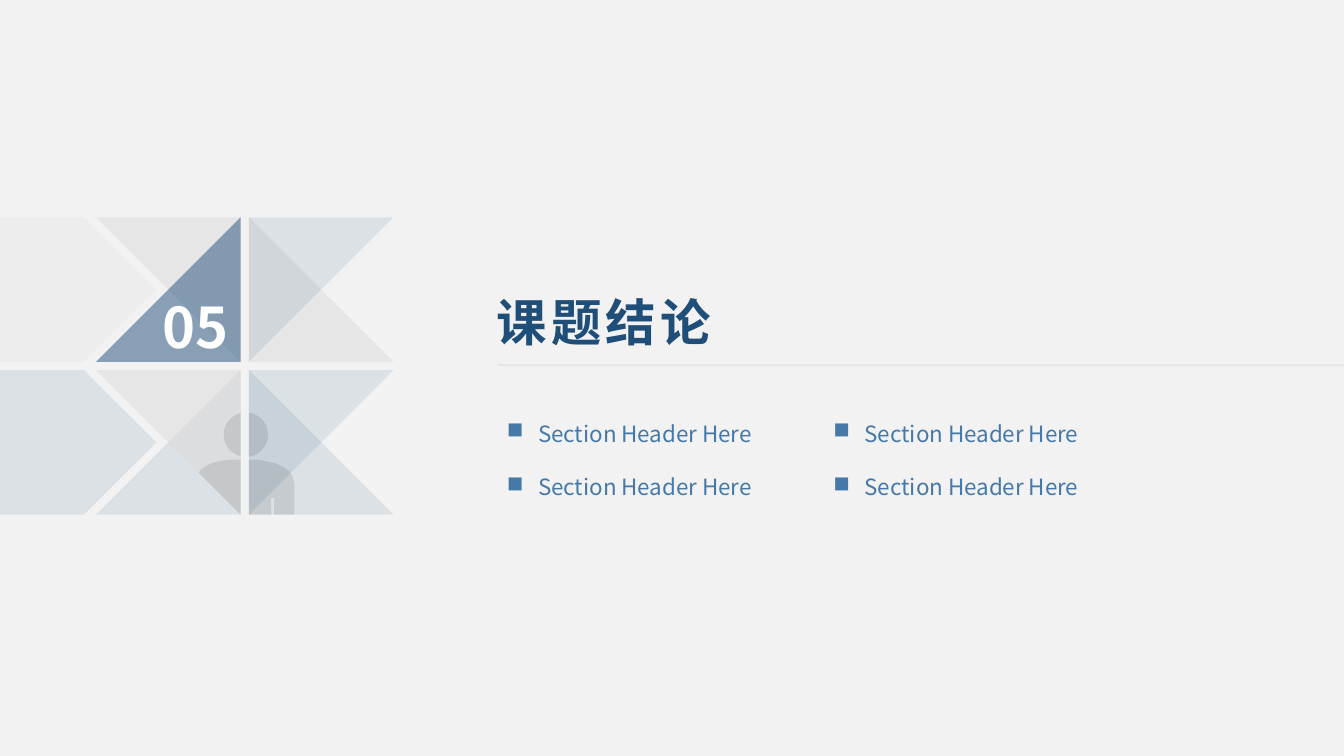
import math

import lxml.etree
import pptx
import pptx.dml.color
import pptx.enum.shapes
import pptx.enum.text
import pptx.oxml.ns
import pptx.util


class SectionSlide:
    """Draws on one slide whose lengths are columns and rows of a 40 by 22.5 grid."""

    COLORS = {
        "paper": "F2F2F2", "navy": "1F4E79", "steel": "4679A7", "white": "FFFFFF",
        "silver": "D9D9D9", "mist": "DBDBDB", "gray": "7F7F7F", "ink": "0D0D0D",
        "rule": "E6E6E6",
    }
    FONT = "Noto Sans CJK SC"
    COLUMNS = 40

    def __init__(self, deck):
        self.slide = deck.slides.add_slide(deck.slide_layouts[6])
        self.cell = deck.slide_width / self.COLUMNS
        background = self.slide.background.fill
        background.solid()
        background.fore_color.rgb = self.color("paper")

    def color(self, name):
        return pptx.dml.color.RGBColor.from_string(self.COLORS[name])

    def grid(self, *lengths):
        return [round(length * self.cell) for length in lengths]

    def add_xml(self, parent, tag, **attributes):
        return lxml.etree.SubElement(parent, pptx.oxml.ns.qn(tag), attributes)

    def polygon(self, points, color, opacity):
        corners = [self.grid(*point) for point in points]
        builder = self.slide.shapes.build_freeform(*corners[0], scale=1.0)
        builder.add_line_segments(corners[1:], close=True)
        outline = builder.convert_to_shape()
        outline.shadow.inherit = False
        outline.line.fill.background()
        outline.fill.solid()
        outline.fill.fore_color.rgb = self.color(color)
        tint = next(outline.fill._xPr.iter(pptx.oxml.ns.qn("a:srgbClr")))
        self.add_xml(tint, "a:alpha", val=str(opacity * 1000))

    def rule(self, left, right, row, color, width):
        ends = self.grid(left, row, right, row)
        divider = self.slide.shapes.add_connector(
            pptx.enum.shapes.MSO_CONNECTOR.STRAIGHT, *ends)
        divider.line.color.rgb = self.color(color)
        divider.line.width = pptx.util.Pt(width)
        self.add_xml(divider._element.spPr, "a:effectLst")

    def text(self, box, lines, color, size, bold=False, spacing=0, bullet=None):
        frame = self.slide.shapes.add_textbox(*self.grid(*box)).text_frame
        frame_format = {
            "word_wrap": True,
            "auto_size": pptx.enum.text.MSO_AUTO_SIZE.SHAPE_TO_FIT_TEXT,
        }
        for attribute, value in frame_format.items():
            setattr(frame, attribute, value)
        font_format = {"name": self.FONT, "size": pptx.util.Pt(size), "bold": bold}
        for index, line in enumerate(lines):
            paragraph = frame.paragraphs[0] if index == 0 else frame.add_paragraph()
            if bullet:
                self.bullet(paragraph, bullet)
            run = paragraph.add_run()
            run.text = line
            run.font.color.rgb = self.color(color)
            for attribute, value in font_format.items():
                setattr(run.font, attribute, value)
            properties = run._r.get_or_add_rPr()
            self.add_xml(properties, "a:ea", typeface=self.FONT)
            if spacing:
                properties.set("spc", str(spacing * 100))

    def bullet(self, paragraph, mark):
        properties = paragraph._p.get_or_add_pPr()
        indent = pptx.util.Inches(0.31)
        for name, value in {"marL": indent, "indent": -indent}.items():
            properties.set(name, str(value))
        self.add_xml(properties, "a:buChar", char=mark)
        paragraph.line_spacing = 2.0


TILE, PITCH = 4.3, 4.55
TILES_LEFT, TILES_TOP = 2.86, 6.47
SEAM_LEFT, SEAM_RIGHT = TILES_LEFT + TILE, TILES_LEFT + PITCH
TILES_BOTTOM = TILES_TOP + PITCH + TILE

TRIANGLES = [
    (0, 0, "bottom left", "gray", 10),
    (0, 0, "top left", "navy", 50),
    (1, 0, "top right", "gray", 10),
    (1, 1, "bottom right", "navy", 10),
    (0, 1, "top left", "navy", 10),
    (0, 1, "bottom left", "mist", 50),
    (1, 1, "top right", "navy", 10),
    (1, 0, "bottom right", "navy", 10),
]
LEFT_SHOULDER = [
    (SEAM_LEFT, 13.68), (6.9, 13.68), (6.6, 13.71), (6.36, 13.77), (6.15, 13.86),
    (6, 13.97), (5.91, 14.07), (SEAM_LEFT, TILES_BOTTOM),
]
RIGHT_SHOULDER = [
    (SEAM_RIGHT, 13.68), (7.65, 13.68), (7.95, 13.74), (8.22, 13.8), (8.46, 13.92),
    (8.61, 14.04), (8.7, 14.16), (8.76, 14.4), (8.76, TILES_BOTTOM),
    (8.16, TILES_BOTTOM), (8.16, 14.82), (8.07, 14.82), (8.07, TILES_BOTTOM),
    (SEAM_RIGHT, TILES_BOTTOM),
]


def triangle(column, row, missing):
    left, top = TILES_LEFT + column * PITCH, TILES_TOP + row * PITCH
    right, bottom = left + TILE, top + TILE
    corners = {
        "top left": (left, top), "top right": (right, top),
        "bottom right": (right, bottom), "bottom left": (left, bottom),
    }
    return [point for name, point in corners.items() if name != missing]


def half_head(seam, side):
    center, middle, radius, steps = 7.32, 12.94, 0.66, 24
    reach = math.acos(side * (seam - center) / radius)
    angles = [reach * (2 * step / steps - 1) for step in range(steps + 1)]
    return [(center + side * radius * math.cos(angle),
             middle + radius * math.sin(angle)) for angle in angles]


def main():
    deck = pptx.Presentation()
    deck.slide_width = pptx.util.Inches(13.33)
    deck.slide_height = pptx.util.Inches(7.5)
    section = SectionSlide(deck)

    for row, (color, opacity) in enumerate([("silver", 20), ("navy", 10)]):
        top = TILES_TOP + row * PITCH
        arrow = [(0, top), (2.5, top), (4.66, top + TILE / 2),
                 (2.5, top + TILE), (0, top + TILE)]
        section.polygon(arrow, color, opacity)
    for column, row, missing, color, opacity in TRIANGLES:
        section.polygon(triangle(column, row, missing), color, opacity)
    for person_part in (half_head(SEAM_LEFT, -1), LEFT_SHOULDER,
                        half_head(SEAM_RIGHT, 1), RIGHT_SHOULDER):
        section.polygon(person_part, "ink", 10)

    section.rule(14.82, 40, 10.86, "rule", 1.5)
    section.text((14.49, 8.52, 16.71, 2.13), ["课题结论"], "navy", 36,
                 bold=True, spacing=3)
    for left, width in ((14.79, 9.06), (24.51, 9.81)):
        section.text((left, 11.55, width, 3.33), ["Section Header Here"] * 2,
                     "steel", 16, bullet="■")
    section.text((4.53, 8.55, 3, 2.31), ["05"], "white", 40, bold=True)
    deck.save("out.pptx")


if __name__ == "__main__":
    main()
